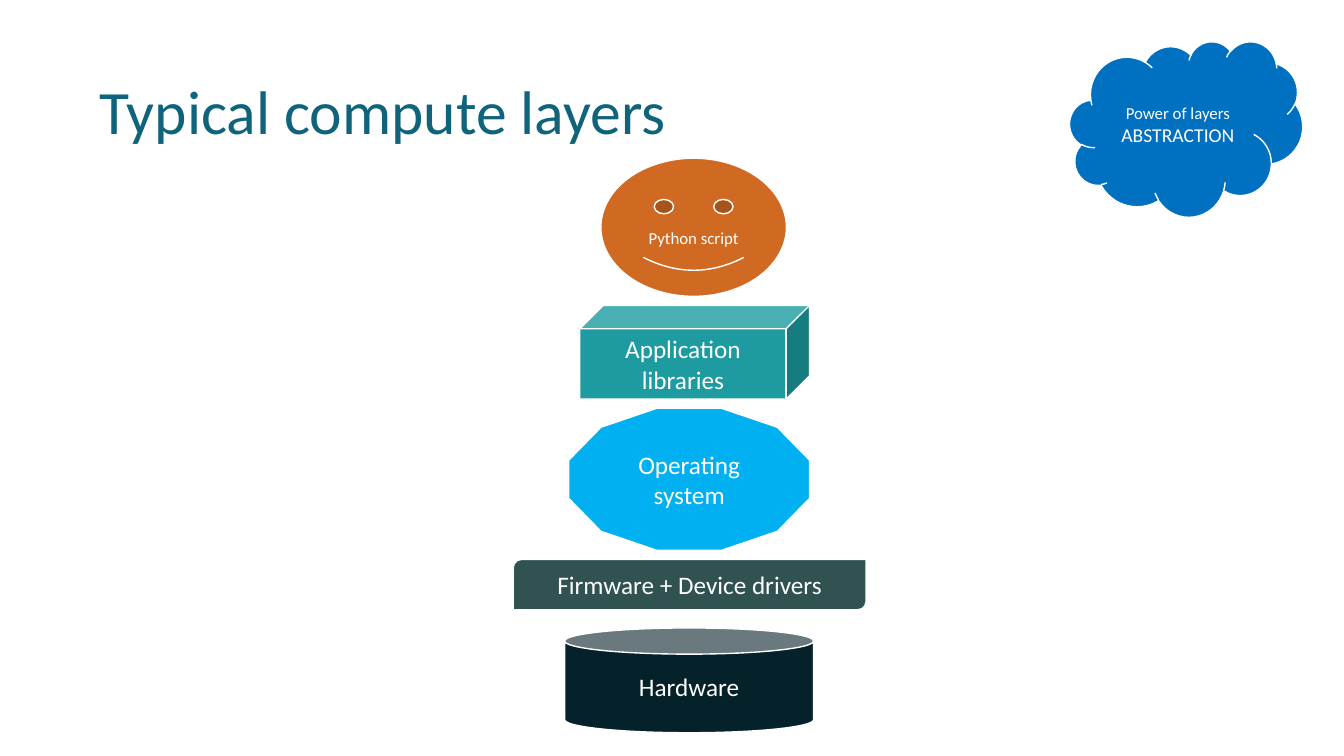
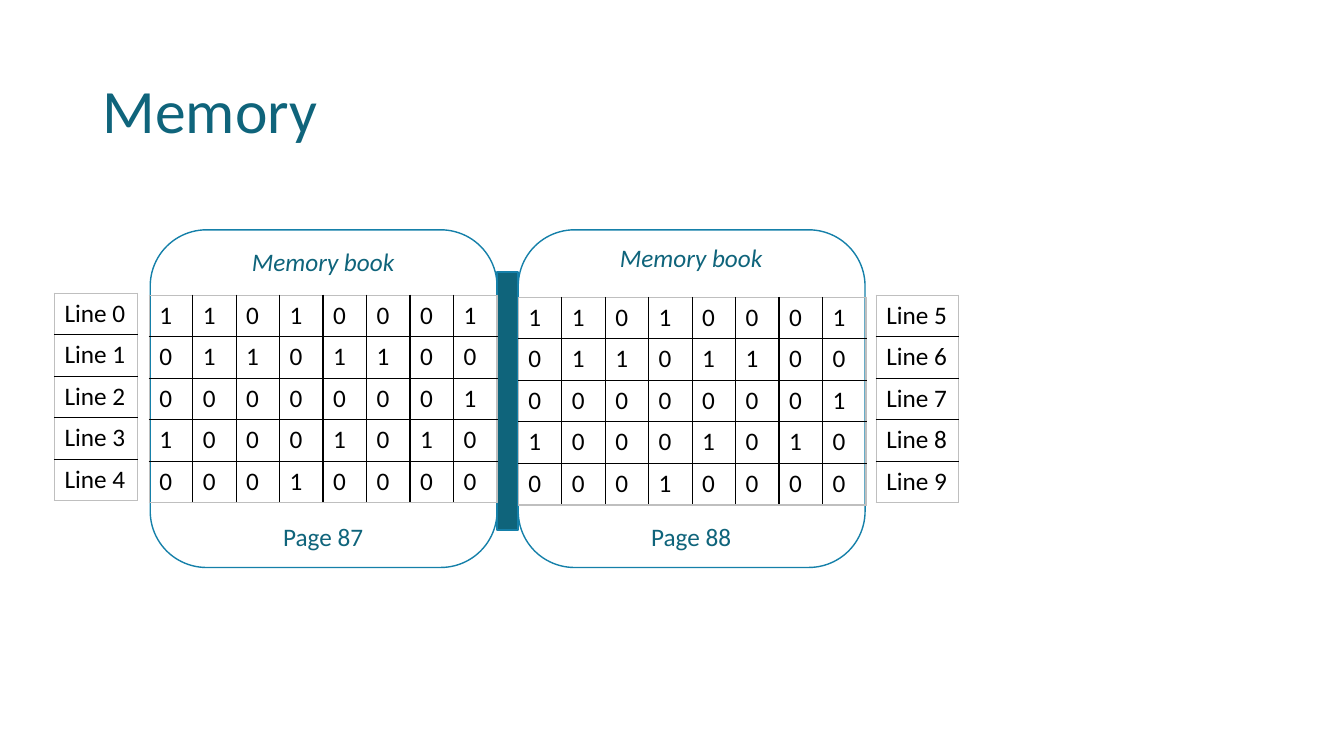
from lxml import etree
from pptx import Presentation
from pptx import util as u
from pptx.dml.color import RGBColor
from pptx.enum import shapes, text
from pptx.oxml.ns import qn

IN = u.Inches
FONT = "Calibri"
COLORS = {
    "title": "0F647B", "outline": "1580A9", "white": "FFFFFF", "black": "000000",
    "edge": "BFBFBF", "firmware": "305250", "system": "00B0F0",
    "libraries": "1D9BA1", "hardware": "052129", "script": "D06A22", "cloud": "0070C0",
}
SHAPE = shapes.MSO_SHAPE

# shape, colour, box, lines of (text, size)
LAYERS = [
    (SHAPE.ROUND_2_DIAG_RECTANGLE, "firmware", (5.09, 5.55, 3.5, 0.5),
     [("Firmware + Device drivers", 18)]),
    (SHAPE.DODECAGON, "system", (5.64, 4.05, 2.39, 1.41), [("Operating system", 18)]),
    (SHAPE.CUBE, "libraries", (5.75, 3.03, 2.28, 0.93), [("Application libraries", 18)]),
    (SHAPE.CAN, "hardware", (5.6, 6.23, 2.47, 1.04), [("Hardware", 18)]),
    (SHAPE.SMILEY_FACE, "script", (5.96, 1.57, 1.84, 1.37), [("Python script", 12)]),
    (SHAPE.CLOUD, "cloud", (10.61, 0.41, 2.31, 1.74),
     [("Power of layers", 12), ("ABSTRACTION", 14)]),
]

BITS = ["11010001", "01101100", "00000001", "10001010", "00010000"]
# page number, page left, bits (left, top), heading top, lines (left, top), first line
PAGES = [
    (87, 1.49, (1.48, 2.93), 2.39, (0.54, 2.91), 0),
    (88, 5.14, (5.14, 2.95), 2.36, (8.69, 2.93), 5),
]
PAGE_TOP, PAGE_W, PAGE_H = 2.28, 3.44, 3.35
BITS_W, LINES_W, TABLE_H = 3.45, 0.82, 2.06


def rgb(name):
    """Look up a palette colour."""
    return RGBColor.from_string(COLORS[name])


def style(p, size, color, italic=None):
    """Format every run of a paragraph."""
    for r in p.runs:
        r.font.name, r.font.size, r.font.italic = FONT, u.Pt(size), italic
        r.font.color.rgb = rgb(color)


def add_text(slide, box, content, size=18, italic=None):
    """Add a one-line text box in the title colour."""
    tf = slide.shapes.add_textbox(*map(IN, box)).text_frame
    tf.word_wrap = False
    tf.text = content
    style(tf.paragraphs[0], size, "title", italic)
    return tf


def add_slide(prs, title, box):
    """Add a blank slide with the shared title style."""
    slide = prs.slides.add_slide(prs.slide_layouts[6])
    tf = add_text(slide, box, title, 44)
    tf.word_wrap = True
    tf.vertical_anchor = text.MSO_ANCHOR.MIDDLE
    tf.paragraphs[0].line_spacing = 0.9
    return slide


def add_shape(slide, kind, box, fill, line):
    """Add a preset shape with a 1 pt line; fill may be None."""
    sp = slide.shapes.add_shape(kind, *map(IN, box))
    sp.shadow.inherit = False
    if fill:
        sp.fill.solid()
        sp.fill.fore_color.rgb = rgb(fill)
    else:
        sp.fill.background()
    sp.line.color.rgb = rgb(line)
    sp.line.width = u.Pt(1)
    return sp


def add_layer(slide, kind, color, box, lines):
    """Add one labelled layer."""
    tf = add_shape(slide, kind, box, color, "white").text_frame
    tf.word_wrap = True
    tf.vertical_anchor = text.MSO_ANCHOR.MIDDLE
    if kind == SHAPE.SMILEY_FACE:
        tf.margin_top = IN(0.25)  # keeps the label below the eyes
    tf.text = "\n".join(content for content, _ in lines)
    for p, (_, size) in zip(tf.paragraphs, lines):
        p.alignment = text.PP_ALIGN.CENTER
        style(p, size, "white")


def set_borders(cell, outer):
    """Draw grey outer and black inner cell borders."""
    tc_pr = cell._tc.get_or_add_tcPr()
    for side in "LRTB":
        ln = etree.SubElement(tc_pr, qn("a:ln" + side), w=str(u.Pt(1)))
        fill = etree.SubElement(ln, qn("a:solidFill"))
        color = COLORS["edge" if side in outer else "black"]
        etree.SubElement(fill, qn("a:srgbClr"), val=color)


def add_grid(slide, corner, width, rows):
    """Add an unfilled table with equal rows and columns."""
    n_rows, n_cols = len(rows), len(rows[0])
    box = (*corner, width, TABLE_H)
    table = slide.shapes.add_table(n_rows, n_cols, *map(IN, box)).table
    table.first_row = table.horz_banding = False
    for i, row in enumerate(rows):
        for j, value in enumerate(row):
            cell = table.cell(i, j)
            cell.text = value
            style(cell.text_frame.paragraphs[0], 18, "black")
            edges = {"L": j == 0, "R": j == n_cols - 1, "T": i == 0, "B": i == n_rows - 1}
            set_borders(cell, [side for side, is_outer in edges.items() if is_outer])
            cell.fill.background()


def build_layers(prs):
    """Build the slide of compute layers."""
    slide = add_slide(prs, "Typical compute layers", (0.89, 0.39, 11, 1.5))
    for layer in LAYERS:
        add_layer(slide, *layer)


def build_memory(prs):
    """Build the slide of the open memory book."""
    slide = add_slide(prs, "Memory", (0.92, 0.4, 11.5, 1.45))
    for _, left, *_ in PAGES:
        add_shape(slide, SHAPE.ROUNDED_RECTANGLE, (left, PAGE_TOP, PAGE_W, PAGE_H),
                  None, "outline")
    add_shape(slide, SHAPE.RECTANGLE, (4.93, 2.7, 0.21, 2.56), "title", "outline")
    for number, left, bits_at, heading_top, lines_at, first in PAGES:
        add_grid(slide, bits_at, BITS_W, BITS)
        add_text(slide, (left + 1.22, 5.12, 1, 0.4), f"Page {number}")
        add_text(slide, (left + 0.91, heading_top, 1.63, 0.4), "Memory book", italic=True)
        add_grid(slide, lines_at, LINES_W, [[f"Line {first + i}"] for i in range(len(BITS))])


prs = Presentation()
prs.slide_width, prs.slide_height = IN(13.33), IN(7.5)
build_layers(prs)
build_memory(prs)
prs.save("out.pptx")
